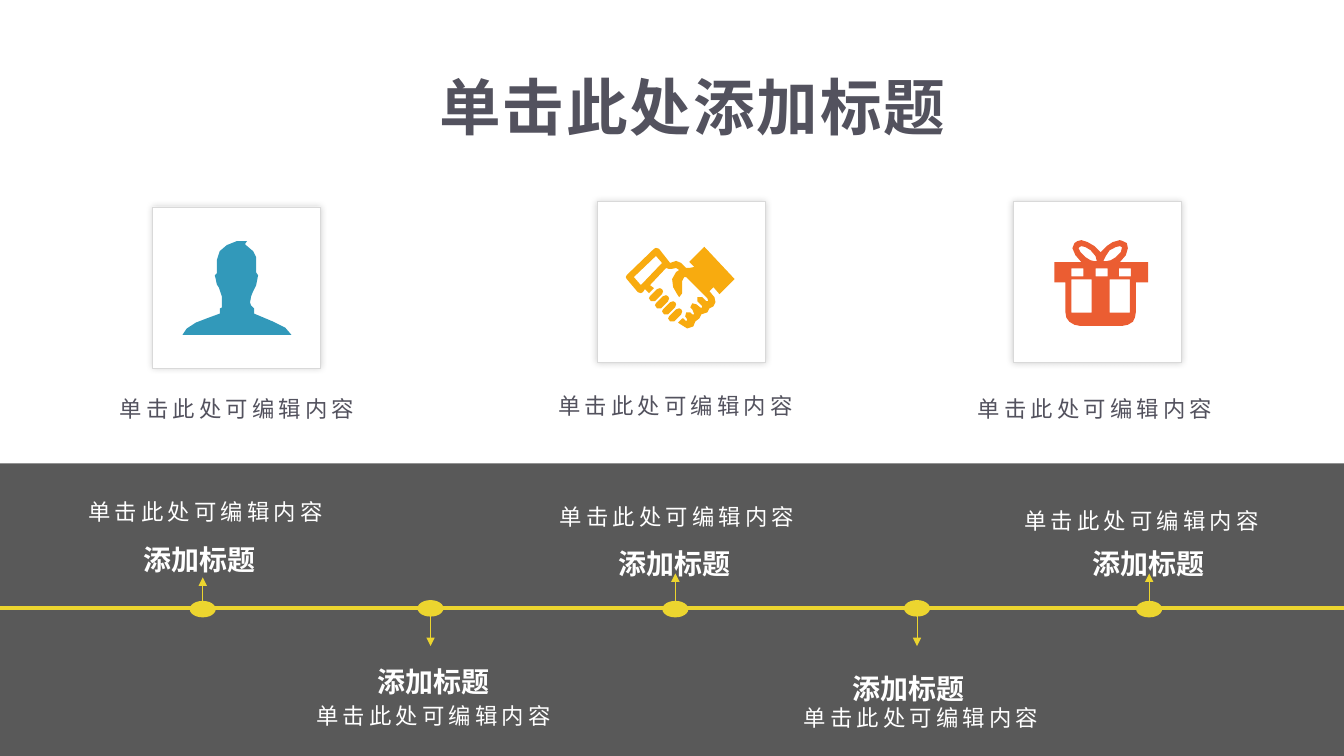
from lxml import etree
from pptx import Presentation
from pptx.dml.color import RGBColor
from pptx.enum.shapes import MSO_CONNECTOR, MSO_SHAPE
from pptx.enum.text import MSO_ANCHOR, PP_ALIGN
from pptx.oxml.ns import qn
from pptx.util import Cm, Pt

RECT, OVAL, STRAIGHT = MSO_SHAPE.RECTANGLE, MSO_SHAPE.OVAL, MSO_CONNECTOR.STRAIGHT
LEFT, CENTER = PP_ALIGN.LEFT, PP_ALIGN.CENTER
TOP, BOTTOM = MSO_ANCHOR.TOP, MSO_ANCHOR.BOTTOM
FONT = "Noto Sans CJK SC"
COLORS = {"ink": "53525E", "white": "FFFFFF", "band": "595959", "yellow": "ECD52F",
          "edge": "D9D9D9", "blue": "3299BA", "amber": "F8AB0F", "red": "EB5D32"}

TITLE = "单击此处添加标题"
HEADING = "添加标题"
BODY = "单击此处可编辑内容"
WIDTH, HEIGHT = 33.87, 19.05
BAND_TOP, AXIS_Y = 11.68, 15.32
CARD_W, CARD_H = 4.24, 4.06
DOT_W, DOT_H = 0.62, 0.38
HEADING_W, HEADING_H = 5.66, 0.89
BODY_W, BODY_H = 7.77, 0.76

# dot x, arrow start y, arrow end y, heading (centre x, top), body (left, top)
STOPS = [
    (5.11, 15.16, 14.55, (5.04, 13.28), (1.3, 12.6)),
    (10.85, 15.52, 16.28, (10.93, 16.36), (7.04, 17.73)),
    (17.02, 15.16, 14.45, (17, 13.39), (13.18, 12.73)),
    (23.11, 15.52, 16.28, (22.9, 16.54), (19.33, 17.78)),
    (28.96, 15.16, 14.45, (28.94, 13.39), (24.89, 12.83)),
]

PERSON = [
    [(108, 94), (0, 94), (4, 88), (13, 82), (26, 77), (37, 73), (37, 68), (39, 67),
     (39, 56), (36, 47), (34, 44), (33, 39), (32, 35), (34, 33), (34, 20), (37, 11),
     (44, 5), (54, 1), (64, 1), (62, 4), (64, 6), (70, 11), (73, 17), (73, 32),
     (75, 35), (73, 45), (70, 51), (68, 56), (67, 62), (68, 65), (71, 68), (71, 73),
     (90, 81), (102, 87)],
]
HANDSHAKE = [
    [(78, 0), (63, 15), (68, 20), (63, 21), (60, 21), (55, 16), (50, 14), (44, 16),
     (33, 2), (30, 1), (28, 2), (1, 28), (0, 30), (1, 32), (12, 45), (15, 46),
     (17, 45), (19, 42), (23, 46), (28, 41), (24, 38), (40, 21), (43, 22), (45, 22),
     (50, 21), (53, 23), (50, 25), (46, 32), (47, 40), (51, 47), (53, 50), (56, 46),
     (56, 34), (58, 30), (60, 30), (67, 37), (77, 47), (81, 51), (82, 54), (80, 54),
     (76, 50), (71, 50), (71, 54), (74, 57), (76, 59), (75, 61), (70, 57), (66, 56),
     (64, 60), (66, 62), (68, 67), (66, 67), (64, 65), (60, 65), (59, 69), (61, 72),
     (60, 74), (57, 71), (56, 71), (52, 75), (53, 76), (61, 81), (67, 79), (69, 74),
     (73, 71), (75, 67), (81, 65), (83, 61), (87, 59), (89, 55), (88, 50), (83, 44),
     (87, 40), (93, 47), (95, 45), (108, 32)],
    [(15, 38), (8, 30), (30, 9), (36, 16)],
    *[[(36 + dx, 42 + dy), (34 + dx, 41 + dy), (31 + dx, 42 + dy), (24 + dx, 49 + dy),
       (23 + dx, 51 + dy), (25 + dx, 54 + dy), (27 + dx, 54 + dy), (29 + dx, 54 + dy),
       (36 + dx, 47 + dy), (37 + dx, 44 + dy)]
      for dx, dy in [(0, 0), (6, 7), (13, 13), (19, 20)]],
]
GIFT = [
    [(93, 22), (65, 22), (71, 15), (73, 8), (72, 3), (68, 1), (65, 0), (58, 2),
     (52, 6), (46, 12), (40, 6), (33, 2), (27, 0), (23, 1), (20, 3), (18, 8),
     (21, 15), (27, 22), (0, 22), (0, 42), (11, 42), (11, 71), (12, 77), (15, 81),
     (20, 84), (25, 85), (68, 85), (73, 84), (78, 81), (80, 77), (81, 71), (81, 42),
     (93, 42)],
    *[[(x, 28), (x + 12, 28), (x + 12, 36), (x, 36)] for x in (17, 41, 64)],
    *[[(x, 39), (x + 20, 39), (x + 20, 72), (x, 72)] for x in (17, 55)],
    [(51, 16), (55, 10), (61, 7), (65, 6), (67, 7), (67, 8), (66, 12), (61, 17),
     (56, 20), (51, 21), (49, 21), (49, 20)],
    [(24, 8), (25, 7), (27, 6), (31, 7), (36, 10), (41, 16), (42, 20), (42, 21),
     (40, 21), (36, 20), (31, 17), (26, 12)],
]
# card (left, top), caption (left, top), icon (left, top), colour, outlines
CARDS = [
    ((3.84, 5.21), (3.02, 9.96), (4.6, 6.05), "blue", PERSON),
    ((15.04, 5.08), (14.07, 9.88), (15.77, 6.22), "amber", HANDSHAKE),
    ((25.53, 5.08), (24.64, 9.96), (26.57, 6.05), "red", GIFT),
]


def rgb(name):
    return RGBColor.from_string(COLORS[name])


def style(sp, fill, line=None, width=1):
    sp.shadow.inherit = False
    sp.fill.solid()
    sp.fill.fore_color.rgb = rgb(fill)
    if line:
        sp.line.color.rgb = rgb(line)
        sp.line.width = Pt(width)
    else:
        sp.line.fill.background()


def add_box(s, kind, x, y, w, h, fill, line=None, width=1):
    sp = s.shapes.add_shape(kind, Cm(x), Cm(y), Cm(w), Cm(h))
    style(sp, fill, line, width)
    return sp


def add_text(s, text, x, y, w, h, size, color, bold=False, align=CENTER,
             anchor=TOP, spacing=None, tracking=0, inset=True):
    tf = s.shapes.add_textbox(Cm(x), Cm(y), Cm(w), Cm(h)).text_frame
    tf.word_wrap = True
    tf.vertical_anchor = anchor
    if not inset:
        tf.margin_left = tf.margin_right = tf.margin_top = tf.margin_bottom = 0
    p = tf.paragraphs[0]
    p.text = text
    p.alignment = align
    if spacing:
        p.line_spacing = spacing
    p.font.size, p.font.bold, p.font.name = Pt(size), bold, FONT
    p.font.color.rgb = rgb(color)
    props = p._p.get_or_add_pPr().find(qn("a:defRPr"))
    props.set("spc", str(tracking))
    etree.SubElement(props, qn("a:ea")).set("typeface", FONT)


def add_line(s, x1, y1, x2, y2, width, arrow=False):
    c = s.shapes.add_connector(STRAIGHT, Cm(x1), Cm(y1), Cm(x2), Cm(y2))
    c.line.color.rgb = rgb("yellow")
    c.line.width = Pt(width)
    if arrow:
        etree.SubElement(c.line._get_or_add_ln(), qn("a:tailEnd")).set("type", "triangle")
    etree.SubElement(c._element.spPr, qn("a:effectLst"))


def add_glow(sp):
    effects = sp._element.spPr.find(qn("a:effectLst"))
    shadow = etree.SubElement(effects, qn("a:outerShdw"), blurRad=str(Pt(5)), dist="0")
    black = etree.SubElement(shadow, qn("a:srgbClr"), val="000000")
    etree.SubElement(black, qn("a:alpha"), val="20000")


def add_icon(s, x, y, color, outlines):
    builder = s.shapes.build_freeform(*outlines[0][0], scale=Cm(2.54) / 100)
    for i, outline in enumerate(outlines):
        if i:
            builder.move_to(*outline[0])
        builder.add_line_segments(outline[1:], close=True)
    style(builder.convert_to_shape(Cm(x), Cm(y)), color)


def main():
    """Build the slide with three icon cards above a five-stop timeline."""
    prs = Presentation()
    prs.slide_width, prs.slide_height = Cm(WIDTH), Cm(HEIGHT)
    s = prs.slides.add_slide(prs.slide_layouts[6])
    add_box(s, RECT, 0, BAND_TOP, WIDTH, HEIGHT - BAND_TOP, "band")
    add_line(s, 0, AXIS_Y, WIDTH, AXIS_Y, 2.25)
    for x, start, end, (hx, hy), (bx, by) in STOPS:
        add_line(s, x, start, x, end, 0.5, arrow=True)
        dot_y = start if end < start else start - DOT_H
        add_box(s, OVAL, x - DOT_W / 2, dot_y, DOT_W, DOT_H, "yellow", "yellow")
        add_text(s, HEADING, hx - HEADING_W / 2, hy, HEADING_W, HEADING_H, 20, "white",
                 bold=True, spacing=1.3)
        add_text(s, BODY, bx, by, BODY_W, BODY_H, 16, "white", anchor=BOTTOM, tracking=300)
    for card, caption, icon, color, outlines in CARDS:
        add_glow(add_box(s, RECT, *card, CARD_W, CARD_H, "white", "edge", 0.25))
        add_text(s, BODY, *caption, 6.83, 0.69, 16, "ink", align=LEFT, tracking=300,
                 inset=False)
        add_icon(s, *icon, color, outlines)
    add_text(s, TITLE, 10.82, 1.42, 14.22, 2.21, 44, "ink", bold=True, align=LEFT,
             spacing=1.1, tracking=140)
    prs.save("out.pptx")


if __name__ == "__main__":
    main()
